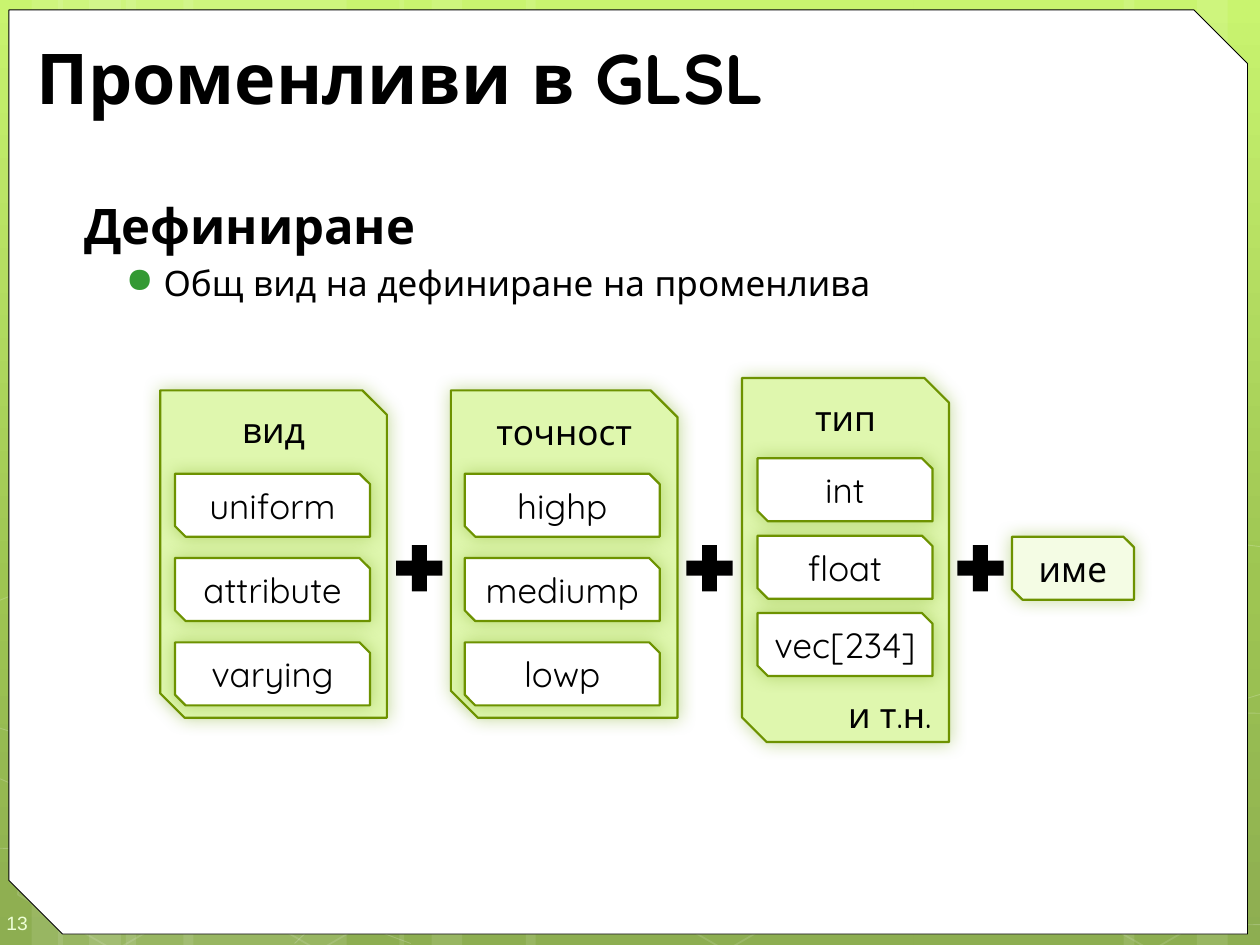
from lxml import etree
from pptx import Presentation
from pptx.dml.color import RGBColor
from pptx.enum.shapes import MSO_SHAPE
from pptx.enum.text import MSO_ANCHOR, PP_ALIGN
from pptx.oxml import parse_xml
from pptx.oxml.ns import nsdecls, qn
from pptx.util import Cm, Pt

RECT, HEXAGON = MSO_SHAPE.RECTANGLE, MSO_SHAPE.HEXAGON
SNIP, PLUS = MSO_SHAPE.SNIP_2_DIAG_RECTANGLE, MSO_SHAPE.MATH_PLUS
TOP, MIDDLE = MSO_ANCHOR.TOP, MSO_ANCHOR.MIDDLE
LEFT, CENTER, RIGHT = PP_ALIGN.LEFT, PP_ALIGN.CENTER, PP_ALIGN.RIGHT


def rgb(color):
    return RGBColor.from_string(color)


def write(p, text, size=20, font="Quicksand", color="000000", bold=False, align=LEFT):
    p.alignment = align
    r = p.add_run()
    r.text = text
    r.font.size, r.font.name, r.font.bold = Pt(size), font, bold
    r.font.color.rgb = rgb(color)


prs = Presentation()
prs.slide_width, prs.slide_height = Cm(25.4), Cm(19.05)
s = prs.slides.add_slide(prs.slide_layouts[6])

# Background gradient
stops = "".join(
    f'<a:gs pos="{pos}000"><a:srgbClr val="{color}"/></a:gs>'
    for pos, color in ((0, "C3F35F"), (62, "93BF3F"), (100, "81A53E")))
s._element.cSld.insert(0, parse_xml(
    f'<p:bg {nsdecls("p", "a")}><p:bgPr><a:gradFill><a:gsLst>{stops}</a:gsLst>'
    '<a:lin ang="5400000" scaled="0"/></a:gradFill><a:effectLst/></p:bgPr></p:bg>'))

# Translucent vertical strips: left, width
strips = [(2.54, 4.45), (0, 1.27), (0.64, 2.1), (3.7, 4.45), (1.17, 1.27), (1.8, 2.1),
          (18.42, 4.45), (24.13, 1.27), (22.65, 2.1), (10.6, 7.82), (8.05, 1.27), (8.7, 2.1)]
for x, w in strips:
    sp = s.shapes.add_shape(RECT, Cm(x), 0, Cm(w), prs.slide_height)
    sp.shadow.inherit = False
    sp.fill.solid()
    sp.fill.fore_color.rgb = rgb("FFFFFF")
    sp.line.fill.background()
    for clr in sp._element.spPr.iter(qn("a:srgbClr")):
        etree.SubElement(clr, qn("a:alpha"), val="10000")

# Faint curves and hexagons that reach the slide edges
curves = [
    [(0, 17.1), (4.62, 17.22), (11.43, 16.89), (19.89, 15.67), (25.4, 14)],
    [(0, 12.1), (2.87, 10.95), (8.61, 9.83), (16.41, 9.83), (25.4, 11.02)],
    [(0, 15.7), (4.2, 17.5), (8.28, 19.02)],
    [(0, 14.68), (3.05, 15.65), (8.84, 17.09), (15.75, 18.24), (21.44, 18.69), (25.4, 18.64)],
    [(5.94, 19.02), (7.47, 17.55), (9.63, 16.23), (15.24, 14.68), (19.96, 14.27), (25.4, 14.38)],
]
faint = []
for (x, y), *points in curves:
    builder = s.shapes.build_freeform(Cm(x), Cm(y))
    builder.add_line_segments([(Cm(px), Cm(py)) for px, py in points], close=False)
    faint.append((builder.convert_to_shape(), 0.5, "20000"))
for x in (0.08, 4.19, 12.4, 20.98):
    sp = s.shapes.add_shape(HEXAGON, Cm(x), Cm(15), Cm(4.45), Cm(3.86))
    sp.rotation = 30
    sp.adjustments[0] = 0.285
    faint.append((sp, 1, "12000"))
for sp, width, alpha in faint:
    sp.shadow.inherit = False
    sp.fill.background()
    sp.line.width = Pt(width)
    sp.line.color.rgb = rgb("FFFFFF")
    for clr in sp._element.spPr.iter(qn("a:srgbClr")):
        etree.SubElement(clr, qn("a:alpha"), val=alpha)

# White page panel
sp = s.shapes.add_shape(SNIP, Cm(0.18), Cm(0.2), Cm(24.97), Cm(18.63))
sp.shadow.inherit = False
sp.adjustments[0], sp.adjustments[1] = 0, 0.058
sp.fill.solid()
sp.fill.fore_color.rgb = rgb("FFFFFF")
sp.line.color.rgb = rgb("000000")
sp.line.width = Pt(0.5)

# Slide number
tf = s.shapes.add_textbox(0, Cm(18.03), Cm(1.47), Cm(1.02)).text_frame
tf.word_wrap, tf.vertical_anchor = True, MIDDLE
tf.margin_left, tf.margin_right = Cm(0.13), 0
tf.margin_top, tf.margin_bottom = Cm(0.38), Cm(0.25)
write(tf.paragraphs[0], "13", size=11, font="Arial", color="EEFFD6")

# Title
tf = s.shapes.add_textbox(Cm(0.48), Cm(0.64), Cm(24.05), Cm(1.8)).text_frame
tf.word_wrap, tf.vertical_anchor = True, MIDDLE
write(tf.paragraphs[0], "Променливи в GLSL", size=40, bold=True)

# Heading and bullet
tf = s.shapes.add_textbox(Cm(1.27), Cm(3.81), Cm(23.93), Cm(4)).text_frame
tf.word_wrap = True
p = tf.paragraphs[0]
p._p.get_or_add_pPr().set("marL", str(Cm(0.18)))
write(p, "Дефиниране", size=28, bold=True)
p = tf.add_paragraph()
p.space_before = Pt(4)
pPr = p._p.get_or_add_pPr()
pPr.set("marL", str(Cm(1.78)))
pPr.set("indent", str(Cm(-0.76)))
color = etree.SubElement(pPr, qn("a:buClr"))
etree.SubElement(color, qn("a:srgbClr"), val="339933")
etree.SubElement(pPr, qn("a:buChar"), char="●")
write(p, "Общ вид на дефиниране на променлива")

# Cards: heading, left, top, width, height, snip, item inset, first item, step, items
cards = [
    ("вид", 3.23, 7.87, 4.57, 6.6, 0.108, 0.3, 9.55, 1.7, ("uniform", "attribute", "varying")),
    ("точност", 9.09, 7.87, 4.57, 6.6, 0.119, 0.28, 9.55, 1.7, ("highp", "mediump", "lowp")),
    ("тип", 14.96, 7.62, 4.17, 7.34, 0.119, 0.31, 9.24, 1.56, ("int", "float", "vec[234]")),
]
boxes = [("име", 20.4, 10.82, 2.46, 1.27, 0.167, "F4FCE4", MIDDLE)]
for heading, x, y, w, h, snip, inset, first, step, items in cards:
    boxes.append((heading, x, y, w, h, snip, "DFF7AE", TOP))
    for i, item in enumerate(items):
        boxes.append((item, x + inset, first + i * step, w - 0.64, 1.27, 0.167, "FFFFFF", MIDDLE))

for text, x, y, w, h, snip, fill, anchor in boxes:
    sp = s.shapes.add_shape(SNIP, Cm(x), Cm(y), Cm(w), Cm(h))
    sp.adjustments[0], sp.adjustments[1] = 0, snip
    sp.fill.solid()
    sp.fill.fore_color.rgb = rgb(fill)
    sp.line.color.rgb = rgb("6D9200")
    sp.line.width = Pt(1.25)
    sp.shadow.inherit = False
    glow = etree.SubElement(sp._element.spPr.find(qn("a:effectLst")), qn("a:outerShdw"),
                            blurRad=str(Pt(10)), dist="0", dir="2700000", rotWithShape="0")
    clr = etree.SubElement(glow, qn("a:srgbClr"), val="74A510")
    etree.SubElement(clr, qn("a:alpha"), val="40000")
    tf = sp.text_frame
    tf.word_wrap, tf.vertical_anchor = True, anchor
    tf.margin_left = tf.margin_right = 0
    write(tf.paragraphs[0], text, align=CENTER)

# Closing note in the type card
tf = s.shapes.add_textbox(Cm(15.32), Cm(13.77), Cm(3.56), Cm(1.27)).text_frame
tf.word_wrap, tf.vertical_anchor = True, MIDDLE
tf.margin_left, tf.margin_right = 0, Cm(0.1)
write(tf.paragraphs[0], "и т.н.", align=RIGHT)

# Plus signs between the parts
for x in (7.82, 13.67, 19.13):
    sp = s.shapes.add_shape(PLUS, Cm(x), Cm(10.82), Cm(1.27), Cm(1.27))
    sp.shadow.inherit = False
    sp.fill.solid()
    sp.fill.fore_color.rgb = rgb("000000")
    sp.line.fill.background()

prs.save("out.pptx")
